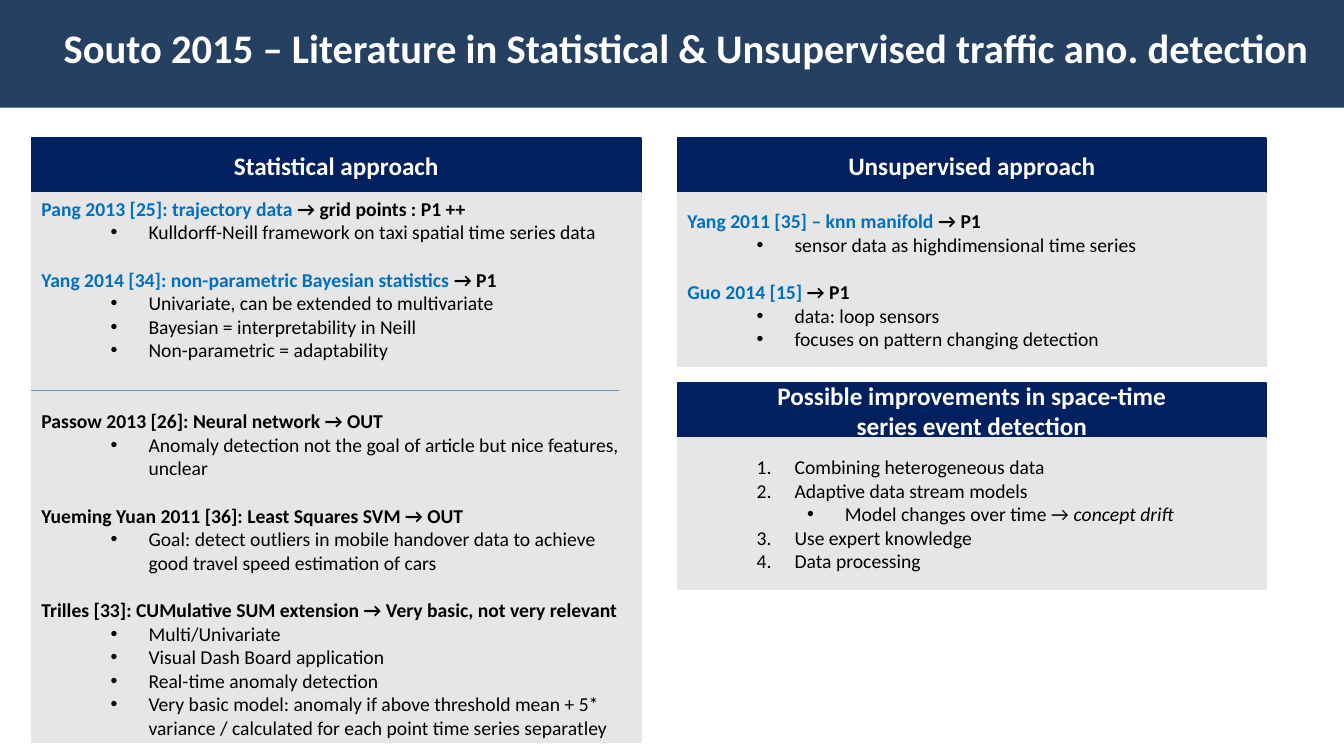
from lxml.etree import SubElement
from pptx import Presentation
from pptx.dml.color import RGBColor
from pptx.enum.shapes import MSO_CONNECTOR, MSO_SHAPE
from pptx.enum.text import MSO_ANCHOR, MSO_AUTO_SIZE, PP_ALIGN
from pptx.oxml.ns import qn
from pptx.util import Pt

COLORS = {"banner": "254061", "heading": "002060", "body": "E7E6E6", "white": "FFFFFF",
          "black": "000000", "relevant": "0070C0", "divider": "5B9BD5"}

# Run formats
TITLE = {"size": Pt(29), "bold": True, "color": "white"}
HEADING = {"size": Pt(18), "bold": True, "color": "white"}
PLAIN = {"size": Pt(14), "bold": False, "color": "black"}
STRONG = {**PLAIN, "bold": True}
RELEVANT = {**STRONG, "color": "relevant"}
CONCEPT = {**PLAIN, "italic": True}

# Paragraph kinds: level, left margin, bullet tag, bullet attributes
BULLET = ("a:buChar", {"char": "•"})
NUMBER = ("a:buAutoNum", {"type": "arabicPeriod"})
LISTS = {"point": (1, 76.5, *BULLET), "step": (1, 76.5, *NUMBER), "detail": (2, 112.5, *BULLET)}
HANGING = 27
BLANK_LINE = 17
HEADING_HEIGHT = 39.5


def paper(name, verdict, points, gap=0, name_format=RELEVANT):
    """Paragraphs for one reviewed paper: kind, space before, runs."""
    runs = [(name, name_format), (verdict, STRONG)]
    return [("paper", gap, runs)] + [("point", 0, [(point, PLAIN)]) for point in points]


STATISTICAL = [
    *paper("Pang 2013 [25]: trajectory data ", "→ grid points : P1 ++",
           ["Kulldorff-Neill framework on taxi spatial time series data"]),
    *paper("Yang 2014 [34]: non-parametric Bayesian statistics ", "→ P1",
           ["Univariate, can be extended to multivariate",
            "Bayesian = interpretability in Neill",
            "Non-parametric = adaptability"], BLANK_LINE),
    *paper("Passow 2013 [26]: Neural network ", "→ OUT",
           ["Anomaly detection not the goal of article but nice features, unclear"],
           2 * BLANK_LINE, STRONG),
    *paper("Yueming Yuan 2011 [36]: Least Squares SVM ", "→ OUT",
           ["Goal: detect outliers in mobile handover data to achieve good travel speed "
            "estimation of cars"], BLANK_LINE, STRONG),
    *paper("Trilles [33]: CUMulative SUM extension ", "→ Very basic, not very relevant",
           ["Multi/Univariate", "Visual Dash Board application", "Real-time anomaly detection",
            "Very basic model: anomaly if above threshold mean + 5* variance / calculated "
            "for each point time series separatley"], BLANK_LINE, STRONG),
]
UNSUPERVISED = [
    *paper("Yang 2011 [35] – knn manifold ", "→ P1",
           ["sensor data as highdimensional time series"]),
    *paper("Guo 2014 [15] ", "→ P1",
           ["data: loop sensors", "focuses on pattern changing detection"], BLANK_LINE),
]
IMPROVEMENTS = [
    ("step", 0, [("Combining heterogeneous data", PLAIN)]),
    ("step", 0, [("Adaptive data stream models", PLAIN)]),
    ("detail", 0, [("Model changes over time → ", PLAIN), ("concept drift", CONCEPT)]),
    ("step", 0, [("Use expert knowledge", PLAIN)]),
    ("step", 0, [("Data processing", PLAIN)]),
]


def rgb(name):
    return RGBColor.from_string(COLORS[name])


def add_run(paragraph, text, text_format):
    run = paragraph.add_run()
    run.text = text
    run.font.name = "Calibri"
    for attribute, value in text_format.items():
        if attribute == "color":
            run.font.color.rgb = rgb(value)
        else:
            setattr(run.font, attribute, value)


def add_block(slide, box, color):
    block = slide.shapes.add_shape(MSO_SHAPE.RECTANGLE, *map(Pt, box))
    block.shadow.inherit = False
    block.fill.solid()
    block.fill.fore_color.rgb = rgb(color)
    block.line.color.rgb = rgb(color)
    block.line.width = Pt(1)
    block.text_frame.word_wrap = True
    block.text_frame.vertical_anchor = MSO_ANCHOR.MIDDLE
    return block


def fill_paragraphs(frame, content, alignment):
    for index, (kind, gap, runs) in enumerate(content):
        paragraph = frame.add_paragraph() if index else frame.paragraphs[0]
        paragraph.alignment = alignment
        if gap:
            paragraph.space_before = Pt(gap)
        if kind in LISTS:
            level, margin, tag, attributes = LISTS[kind]
            paragraph.level = level
            properties = paragraph._p.get_or_add_pPr()
            properties.set("marL", str(Pt(margin)))
            properties.set("indent", str(-Pt(HANGING)))
            SubElement(properties, qn("a:buFont"), typeface="Arial" if tag == "a:buChar" else "+mj-lt")
            SubElement(properties, qn(tag), **attributes)
        for text, text_format in runs:
            add_run(paragraph, text, text_format)


def add_banner(slide, box, text):
    left, top, width, height = box
    banner = add_block(slide, box, "banner")
    banner.line.fill.background()
    title = slide.shapes.title
    banner._element.addnext(title._element)  # title in front of the banner
    placement = {"left": left + 39, "top": top + 13.5, "width": width - 39, "height": 42}
    for attribute, value in placement.items():
        setattr(title, attribute, Pt(value))
    frame_format = {"margin_left": Pt(6.5), "margin_right": Pt(6.5), "margin_top": Pt(3),
                    "margin_bottom": Pt(3), "word_wrap": True,
                    "auto_size": MSO_AUTO_SIZE.NONE, "vertical_anchor": MSO_ANCHOR.TOP}
    for attribute, value in frame_format.items():
        setattr(title.text_frame, attribute, value)
    fill_paragraphs(title.text_frame, [("title", 0, [(text, TITLE)])], PP_ALIGN.LEFT)


def add_panel(slide, box, heading_lines, content):
    left, top, width, height = box
    heading = add_block(slide, (left, top, width, HEADING_HEIGHT), "heading")
    fill_paragraphs(heading.text_frame,
                    [("heading", 0, [(line, HEADING)]) for line in heading_lines], PP_ALIGN.CENTER)
    body = add_block(slide, (left, top + HEADING_HEIGHT, width, height - HEADING_HEIGHT), "body")
    fill_paragraphs(body.text_frame, content, PP_ALIGN.LEFT)


def add_divider(slide, left, top, width):
    divider = slide.shapes.add_connector(
        MSO_CONNECTOR.STRAIGHT, Pt(left), Pt(top), Pt(left + width), Pt(top))
    divider.line.color.rgb = rgb("divider")
    divider.line.width = Pt(0.5)
    SubElement(divider._element.spPr, qn("a:effectLst"))


def main():
    deck = Presentation()
    deck.slide_width, deck.slide_height = Pt(960), Pt(540)
    slide = deck.slides.add_slide(deck.slide_layouts[5])

    add_banner(slide, (0, 0, 960, 77),
               "Souto 2015 – Literature in Statistical & Unsupervised traffic ano. detection")

    # Left column: statistical papers, kept ones above the divider
    left, top = 22.5, 98.5
    add_panel(slide, (left, top, 435.5, 432), ["Statistical approach"], STATISTICAL)
    add_divider(slide, left, 278.5, 420)

    # Right column: unsupervised papers and improvements
    right, width = 484, 420.5
    add_panel(slide, (right, top, width, 163.5), ["Unsupervised approach"], UNSUPERVISED)
    add_panel(slide, (right, 273.5, width, 147.5),
              ["Possible improvements in space-time", "series event detection"], IMPROVEMENTS)

    deck.save("out.pptx")


if __name__ == "__main__":
    main()
